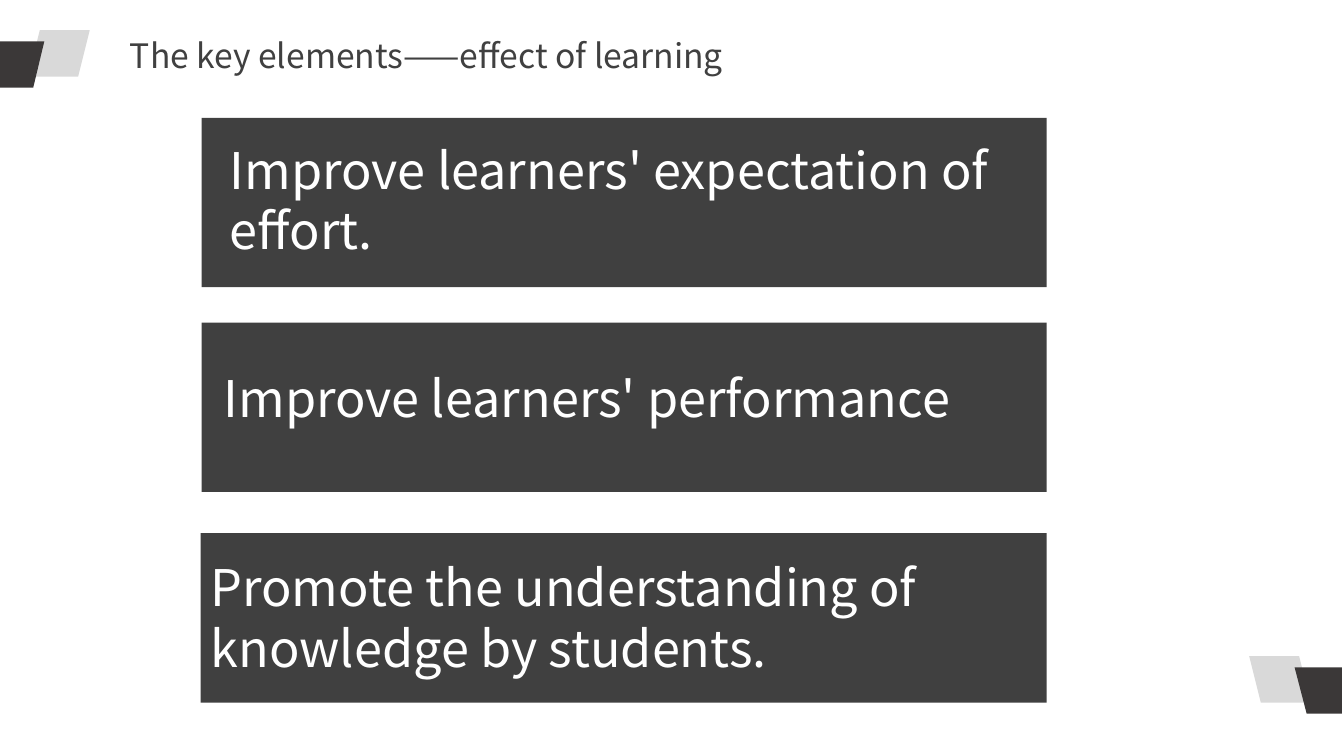
from dataclasses import dataclass

from pptx import Presentation
from pptx.dml.color import RGBColor
from pptx.enum.shapes import MSO_SHAPE
from pptx.enum.text import MSO_AUTO_SIZE
from pptx.util import Inches, Pt

RECT = MSO_SHAPE.RECTANGLE
SLANT = MSO_SHAPE.PARALLELOGRAM
GROW = MSO_AUTO_SIZE.SHAPE_TO_FIT_TEXT


@dataclass(frozen=True)
class Theme:
    font: str = "Noto Sans CJK SC"
    panel: str = "404040"
    dark: str = "3B3838"
    light: str = "D9D9D9"
    white: str = "FFFFFF"
    title: int = 24
    body: int = 36


theme = Theme()


def paint(shape, color):
    shape.shadow.inherit = False
    shape.fill.solid()
    shape.fill.fore_color.rgb = RGBColor.from_string(color)
    shape.line.fill.background()


def write(shapes, box, text, size, color):
    frame = shapes.add_textbox(*map(Inches, box)).text_frame
    frame.word_wrap = True
    frame.auto_size = GROW
    line = frame.paragraphs[0]
    line.text = text
    line.font.name = theme.font
    line.font.size = Pt(size)
    line.font.color.rgb = RGBColor.from_string(color)


prs = Presentation()
prs.slide_width, prs.slide_height = Inches(13.33), Inches(7.5)
slide = prs.slides.add_slide(prs.slide_layouts[6])

# Corner marks: a light slanted tile behind a dark one cut by the slide edge
corners = [
    (0.28, 0.3, False, [(-0.03, 0.41), (0.44, 0.41), (0.33, 0.87), (-0.03, 0.87)]),
    (12.39, 6.51, True, [(13.31, 6.62), (12.84, 6.62), (12.96, 7.08), (13.31, 7.08)]),
]
for left, top, flip, points in corners:
    mark = slide.shapes.add_group_shape().shapes
    tile = mark.add_shape(SLANT, Inches(left), Inches(top), Inches(0.61), Inches(0.46))
    paint(tile, theme.light)
    if flip:
        tile._element.spPr.xfrm.set("flipH", "1")
    start, *rest = [(Inches(x), Inches(y)) for x, y in points]
    path = mark.build_freeform(*start)
    path.add_line_segments(rest, close=True)
    paint(path.convert_to_shape(), theme.dark)

# Title
write(slide.shapes, (1.19, 0.3, 10.8, 0.5),
      "The key elements——effect of learning", theme.title, theme.panel)

# Panels: left, top, width, then the text box and its words
panels = [
    (2, 1.17, 8.38, (2.18, 1.33, 7.79, 1.31),
     "Improve learners' expectation of effort."),
    (2, 3.2, 8.38, (2.12, 3.59, 8.4, 0.71),
     "Improve learners' performance"),
    (1.99, 5.29, 8.39, (1.99, 5.47, 8.16, 1.31),
     "Promote the understanding of knowledge by students."),
]
for left, top, width, box, text in panels:
    panel = slide.shapes.add_group_shape().shapes
    paint(panel.add_shape(RECT, Inches(left), Inches(top), Inches(width), Inches(1.68)),
          theme.panel)
    write(panel, box, text, theme.body, theme.white)

prs.save("out.pptx")
